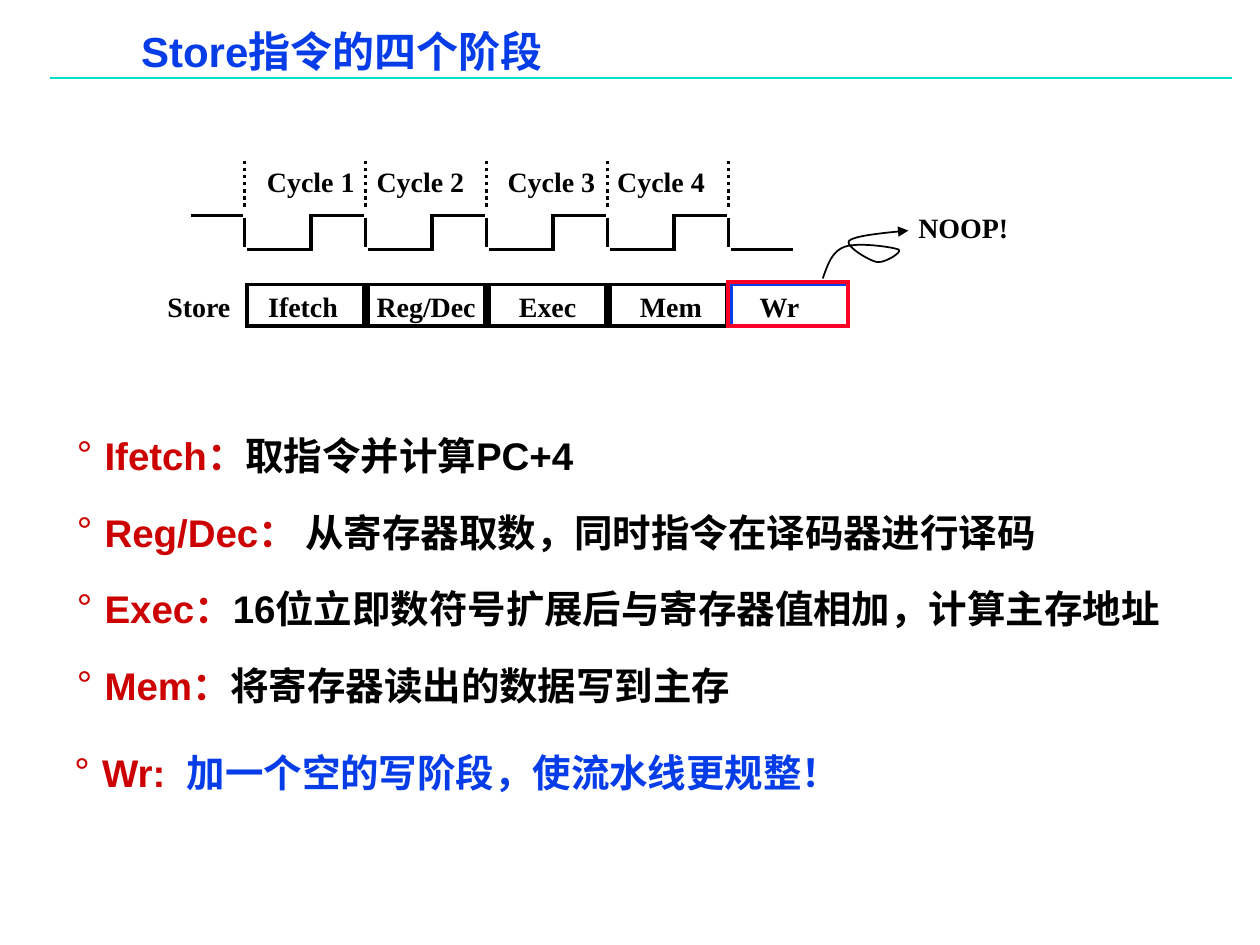
"""Build the slide on the four stages of the Store instruction."""
from lxml import etree
from pptx import Presentation
from pptx.dml.color import RGBColor
from pptx.enum import dml, shapes
from pptx.oxml import ns
from pptx.util import Inches, Pt

BLACK = RGBColor(0x00, 0x00, 0x00)
BLUE = RGBColor(0x06, 0x3D, 0xE8)
RED = RGBColor(0xCC, 0x00, 0x00)
BRIGHT_RED = RGBColor(0xFC, 0x01, 0x28)
TEAL = RGBColor(0x00, 0xDF, 0xCA)

CLOCK_LEFT = 1.94
PERIOD = 0.96
HIGH, LOW = 1.71, 1.98
STAGE_TOP = 2.26
STAGES = [("Ifetch", 2.03, 0.75), ("Reg/Dec", 2.89, 1.03), ("Exec", 4.02, 0.65),
          ("Mem", 4.98, 0.69), ("Wr", 5.93, 0.52)]
CYCLE_LEFTS = [2.02, 2.89, 3.93, 4.8]
EXPLANATIONS = [
    ("Ifetch：", "取指令并计算PC+4"),
    ("Reg/Dec：", " 从寄存器取数，同时指令在译码器进行译码"),
    ("Exec：", "16位立即数符号扩展后与寄存器值相加，计算主存地址"),
    ("Mem：", "将寄存器读出的数据写到主存"),
]
ARROW_START = (6.53, 2.21)
ARROW_CURVES = [
    [(6.57, 2.1), (6.6, 2), (6.7, 1.96)],
    [(6.8, 1.92), (7.08, 1.96), (7.13, 1.98)],
    [(7.17, 2), (7.02, 2.09), (6.96, 2.08)],
    [(6.9, 2.07), (6.7, 1.95), (6.74, 1.91)],
    [(6.79, 1.87), (7, 1.85), (7.21, 1.83)],
]


def curve_points(start, curves, steps=12):
    """Return points along a chain of cubic Bézier curves."""
    points = [start]
    for first, second, end in curves:
        for step in range(1, steps + 1):
            t = step / steps
            weights = ((1 - t) ** 3, 3 * t * (1 - t) ** 2, 3 * t * t * (1 - t), t ** 3)
            points.append(tuple(
                sum(weight * value for weight, value in zip(weights, values))
                for values in zip(start, first, second, end)))
        start = end
    return points


class SlideBuilder:
    """Hold the text style and the current slide."""

    heading_font = "Arial"
    label_font = "Times New Roman"
    label_size = 16
    body_size = 22

    def __init__(self, slide):
        self.slide = slide

    def line(self, start, end, color=BLACK, width=2, dash=None):
        connector = self.slide.shapes.add_connector(
            shapes.MSO_CONNECTOR.STRAIGHT, *map(Inches, start + end))
        connector.line.color.rgb = color
        connector.line.width = Pt(width)
        if dash:
            connector.line.dash_style = dash
        etree.SubElement(connector._element.spPr, ns.qn("a:effectLst"))

    def outline(self, shape, color, weight):
        shape.shadow.inherit = False
        shape.fill.background()
        shape.line.color.rgb = color
        shape.line.width = Pt(weight)
        properties = shape.line._get_or_add_ln()
        etree.SubElement(properties, ns.qn("a:miter"), lim="800000")
        return properties

    def box(self, left, top, width, height, color=BLACK, weight=2):
        shape = self.slide.shapes.add_shape(
            shapes.MSO_SHAPE.RECTANGLE, *map(Inches, (left, top, width, height)))
        self.outline(shape, color, weight)

    def frame(self, left, top, width, height, margins=(0.07, 0.03, 0.07, 0.03)):
        shape = self.slide.shapes.add_textbox(*map(Inches, (left, top, width, height)))
        frame = shape.text_frame
        frame.word_wrap = True
        (frame.margin_left, frame.margin_top,
         frame.margin_right, frame.margin_bottom) = map(Inches, margins)
        return frame

    def run(self, paragraph, words, size, font, color):
        run = paragraph.add_run()
        run.text = words
        run.font.size = Pt(size)
        run.font.name = font
        run.font.bold = True
        run.font.color.rgb = color

    def title(self, words, left, top, width, height):
        paragraph = self.frame(left, top, width, height).paragraphs[0]
        paragraph.line_spacing = 0.87
        self.run(paragraph, words, 24, self.heading_font, BLUE)

    def label(self, words, left, top, width, height=0.36):
        frame = self.frame(left, top, width, height, (0.1, 0.05, 0, 0.05))
        self.run(frame.paragraphs[0], words, self.label_size, self.label_font, BLACK)

    def bullets(self, items, left, top, width, height, spacing, before, color=BLACK):
        frame = self.frame(left, top, width, height)
        for index, (name, explanation) in enumerate(items):
            paragraph = frame.add_paragraph() if index else frame.paragraphs[0]
            paragraph.line_spacing = spacing
            paragraph.space_before = Pt(before)
            properties = paragraph._p.get_or_add_pPr()
            properties.set("marL", str(Inches(0.22)))
            properties.set("indent", str(Inches(-0.22)))
            bullet_color = etree.SubElement(properties, ns.qn("a:buClr"))
            etree.SubElement(bullet_color, ns.qn("a:srgbClr"), val=str(RED))
            etree.SubElement(properties, ns.qn("a:buFont"), typeface=self.heading_font)
            etree.SubElement(properties, ns.qn("a:buChar"), char="°")
            self.run(paragraph, name, self.body_size, self.heading_font, RED)
            self.run(paragraph, explanation, self.body_size, self.heading_font, color)

    def curved_arrow(self, start, curves):
        points = [(Inches(x), Inches(y)) for x, y in curve_points(start, curves)]
        builder = self.slide.shapes.build_freeform(*points[0])
        builder.add_line_segments(points[1:], close=False)
        properties = self.outline(builder.convert_to_shape(), BLACK, 1)
        etree.SubElement(properties, ns.qn("a:tailEnd"), type="triangle")


def draw_clock(builder):
    """Draw the clock wave, the cycle limits and the cycle names."""
    builder.line((1.52, HIGH), (1.93, HIGH))
    for index in range(5):
        edge = CLOCK_LEFT + index * PERIOD
        builder.line((edge, 1.64), (edge, 1.25), dash=dml.MSO_LINE.ROUND_DOT)
        builder.line((edge, 1.73), (edge, 1.96))
        builder.line((edge + 0.02, LOW), (edge + 0.51, LOW))
        if index < len(CYCLE_LEFTS):
            builder.line((edge + 0.53, 1.99), (edge + 0.53, 1.7))
            builder.line((edge + 0.54, HIGH), (edge + 0.95, HIGH))
            builder.label(f"Cycle {index + 1}", CYCLE_LEFTS[index], 1.26, 0.89)


def draw_stages(builder):
    """Draw the row of pipeline stages and the remark on the last one."""
    builder.label("Store", 1.23, 2.25, 0.7)
    for index, (name, left, width) in enumerate(STAGES):
        color = BLUE if name == "Wr" else BLACK
        builder.box(CLOCK_LEFT + 0.02 + index * PERIOD, STAGE_TOP, 0.93, 0.33, color)
        builder.label(name, left, 2.25, width)
    builder.curved_arrow(ARROW_START, ARROW_CURVES)
    builder.label("NOOP!", 7.19, 1.62, 0.91)
    builder.box(5.78, 2.24, 0.95, 0.35, BRIGHT_RED, 2.25)


def main():
    """Build and save the presentation."""
    presentation = Presentation()
    presentation.slide_width = Inches(10)
    presentation.slide_height = Inches(7.5)
    builder = SlideBuilder(presentation.slides.add_slide(presentation.slide_layouts[6]))
    builder.line((0.4, 0.62), (9.78, 0.62), TEAL, 1)
    builder.title("Store指令的四个阶段", 1.05, 0.23, 5.04, 0.4)
    builder.bullets(EXPLANATIONS, 0.54, 3.27, 9.13, 2.38, 1.35, 8.2)
    draw_clock(builder)
    draw_stages(builder)
    builder.bullets([("Wr:  ", "加一个空的写阶段，使流水线更规整！")],
                    0.52, 5.9, 7.11, 0.44, 1.05, 27.5, BLUE)
    presentation.save("out.pptx")


if __name__ == "__main__":
    main()
